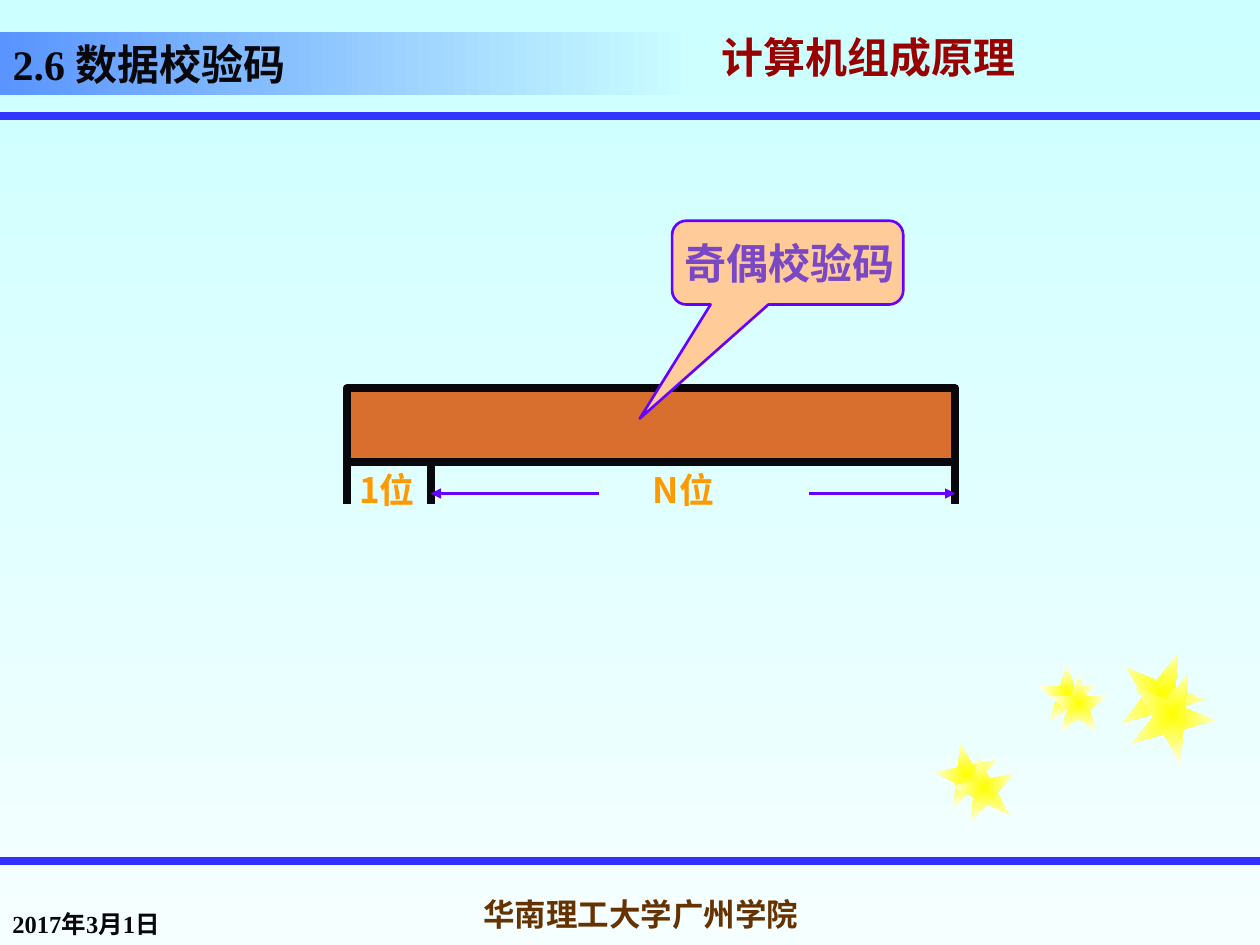
from lxml.etree import SubElement
from pptx import Presentation
from pptx.dml.color import RGBColor
from pptx.enum.shapes import MSO_CONNECTOR, MSO_SHAPE
from pptx.enum.text import MSO_ANCHOR, MSO_AUTO_SIZE, PP_ALIGN
from pptx.oxml import parse_xml
from pptx.oxml.ns import nsdecls, qn
from pptx.util import Cm, Pt

SERIF, SANS = "Times New Roman", "Noto Sans CJK SC"
INK, VIOLET, ORANGE, BLUE = "08080C", "6600FF", "FF9900", "3333FF"


def color(value):
    return RGBColor.from_string(value)


class SlideBuilder:
    def __init__(self, slide):
        self.slide = slide

    def gradient(self, fill, start, end, angle=0):
        fill.gradient()
        fill.gradient_angle = angle
        for stop, value, position in zip(fill.gradient_stops, (start, end), (0, 1)):
            stop.color.rgb = color(value)
            stop.position = position

    def center_gradient(self, shape, start, end):
        self.gradient(shape.fill, start, end)
        linear = shape._element.spPr.find(".//" + qn("a:lin"))
        linear.getparent().replace(linear, parse_xml(
            f'<a:path {nsdecls("a")} path="shape">'
            '<a:fillToRect l="50000" t="50000" r="50000" b="50000"/></a:path>'))

    def add_runs(self, shape, runs, size, value, anchor=MSO_ANCHOR.TOP,
                 align=PP_ALIGN.LEFT, wrap=True):
        frame = shape.text_frame
        frame.auto_size = MSO_AUTO_SIZE.NONE
        frame.word_wrap = wrap
        frame.vertical_anchor = anchor
        paragraph = frame.paragraphs[0]
        paragraph.alignment = align
        for text, typeface in runs:
            run = paragraph.add_run()
            run.text = text
            run.font.size = Pt(size)
            run.font.bold = True
            run.font.color.rgb = color(value)
            run.font.name = typeface
            SubElement(run._r.get_or_add_rPr(), qn("a:ea"), typeface=SANS)
        return paragraph

    def title(self, box, runs, size, value):
        title = self.slide.shapes.title
        title.left, title.top, title.width, title.height = map(Cm, box)
        self.gradient(title.fill, "5994FF", "CCFFFF")
        self.add_runs(title, runs, size, value, MSO_ANCHOR.BOTTOM)

    def text(self, box, text, typeface, size, value, **layout):
        label = self.slide.shapes.add_textbox(*map(Cm, box))
        return self.add_runs(label, [(text, typeface)], size, value, **layout)

    def shape(self, kind, box, fill=None, line=None, weight=0):
        shape = self.slide.shapes.add_shape(kind, *map(Cm, box))
        shape.shadow.inherit = False
        if fill:
            shape.fill.solid()
            shape.fill.fore_color.rgb = color(fill)
        if line:
            shape.line.color.rgb = color(line)
            shape.line.width = Pt(weight)
        else:
            shape.line.fill.background()
        return shape

    def line(self, start, end, value, weight, arrow=False):
        line = self.slide.shapes.add_connector(
            MSO_CONNECTOR.STRAIGHT, *map(Cm, start + end))
        line.line.color.rgb = color(value)
        line.line.width = Pt(weight)
        properties = line._element.spPr
        if arrow:
            SubElement(properties.find(qn("a:ln")), qn("a:tailEnd"), type="triangle")
        SubElement(properties, qn("a:effectLst"))


def main():
    deck = Presentation()
    deck.slide_width, deck.slide_height = Cm(25.4), Cm(19.05)
    slide = deck.slides.add_slide(deck.slide_layouts[5])
    page = SlideBuilder(slide)
    page.gradient(slide.background.fill, "CCFFFF", "F5FFFF", angle=270)

    # Header: section title and course name
    page.title((0, 0.64, 13.97, 1.27), [("2.6 ", SERIF), ("数据校验码", SANS)], 24, INK)
    course = page.text((14.3, 0.64, 11.1, 1.27), "计算机组成原理", SANS, 24,
                       "990000", anchor=MSO_ANCHOR.MIDDLE)
    course.line_spacing = 0.7
    course.runs[0].font._element.find(qn("a:solidFill")).addnext(parse_xml(
        f'<a:effectLst {nsdecls("a")}><a:outerShdw dist="35921" dir="2700000">'
        '<a:srgbClr val="808080"/></a:outerShdw></a:effectLst>'))

    # Rules under the header and above the footer
    for rule_y in (2.33, 17.36):
        page.line((0, rule_y), (25.4, rule_y), BLUE, 4.5)

    # Star pairs
    for left, top, size, turn in (
            (18.85, 14.96, 1.27, 349), (20.93, 13.39, 1.17, 0), (22.58, 13.13, 1.7, 22),
            (19.2, 15.24, 1.27, 349), (21.16, 13.59, 1.17, 0), (22.78, 13.54, 1.7, 22)):
        star = page.shape(MSO_SHAPE.STAR_5_POINT, (left, top, size, size))
        star.rotation = turn
        page.center_gradient(star, "FFFF00", "FFFFF5")

    # Footer: date and school
    page.text((0, 17.78, 5.28, 1.27), "2017年3月1日", SERIF, 14, INK,
              anchor=MSO_ANCHOR.BOTTOM)
    page.text((8.89, 17.78, 8.05, 1.27), "华南理工大学广州学院", SERIF, 18, "663300",
              anchor=MSO_ANCHOR.MIDDLE, align=PP_ALIGN.CENTER, wrap=False)

    # Field boundaries and widths
    code_left, split, code_right = 6.99, 8.68, 19.26
    code_top, code_height = 7.83, 1.48
    tick_end, arrow_y = 10.16, 9.95
    for x, start, end in ((split, code_top, 9.31), (split, 8.68, tick_end),
                          (code_right, 8.89, tick_end), (code_left, 8.89, tick_end)):
        page.line((x, start), (x, end), INK, 4.5)
    for start, end in ((16.3, code_right), (12.07, split)):
        page.line((start, arrow_y), (end, arrow_y), VIOLET, 1.5, arrow=True)
    for left, bits in ((12.91, "N位"), (code_left, "1位")):
        page.text((left, 9.31, 2.96, 1.1), bits, SANS, 20, ORANGE)

    # Code word bar
    page.shape(MSO_SHAPE.RECTANGLE,
               (code_left, code_top, code_right - code_left, code_height),
               "D86F2E", INK, 4.5)

    # Callout naming the code
    callout = page.shape(MSO_SHAPE.ROUNDED_RECTANGULAR_CALLOUT,
                         (13.55, 4.45, 4.66, 1.69), "FFCC99", VIOLET, 1.5)
    for index, value in enumerate((-0.64, 1.86, 0.17)):
        callout.adjustments[index] = value
    page.text((13.55, 4.66, 5.5, 1.27), "奇偶校验码", SERIF, 24, "7A48C4")

    deck.save("out.pptx")


if __name__ == "__main__":
    main()
